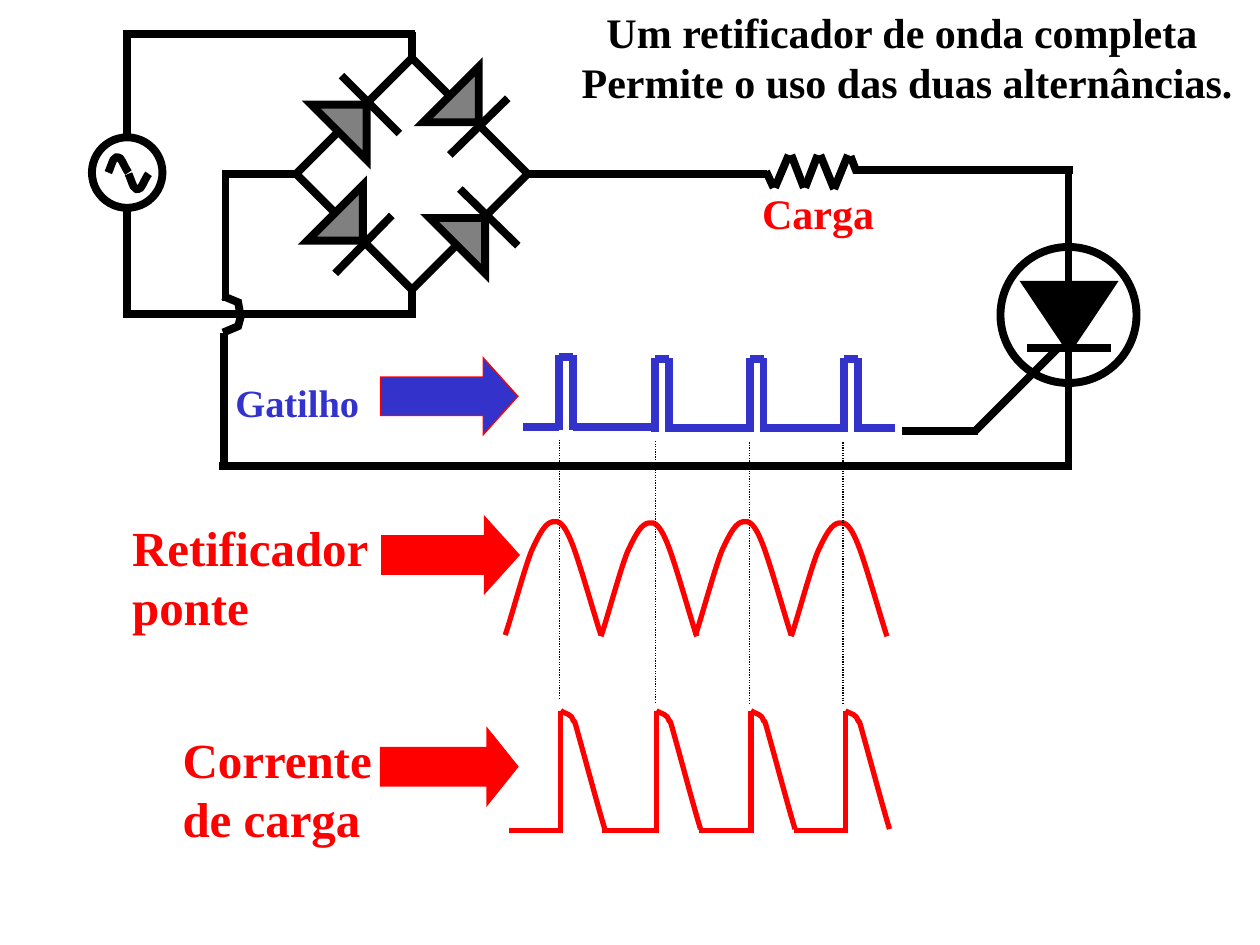
from lxml import etree
from pptx import Presentation
from pptx import util as u
from pptx.dml.color import RGBColor
from pptx.enum import dml, shapes, text
from pptx.oxml.ns import qn

BLACK = RGBColor(0x00, 0x00, 0x00)
RED = RGBColor(0xFF, 0x00, 0x00)
BLUE = RGBColor(0x33, 0x33, 0xCC)
GRAY = RGBColor(0x80, 0x80, 0x80)
FORM = shapes.MSO_SHAPE

WIRES = [
    (8.15, 2.76, 8.82, 2.76), (8.48, 2.76, 8.48, 3.67), (8.48, 1.34, 8.48, 2.26),
    (8.4, 2.76, 7.74, 3.42), (7.76, 3.42, 7.16, 3.42),
    (4.2, 1.38, 6.09, 1.38), (6.78, 1.35, 8.52, 1.35),
    (3.27, 0.25, 3.27, 0.45), (3.27, 2.3, 3.27, 2.51),
    (3.29, 0.27, 0.98, 0.27), (3.3, 2.49, 0.98, 2.49),
    (1.01, 0.25, 1.01, 1.1), (1.01, 1.64, 1.01, 2.51),
    (1.78, 1.38, 2.37, 1.38), (1.79, 1.35, 1.79, 2.39),
    (1.78, 2.64, 1.78, 3.67), (1.74, 3.7, 8.51, 3.7),
]
RESISTOR = [
    (6.08, 1.36, 6.14, 1.49), (6.15, 1.49, 6.26, 1.23), (6.28, 1.23, 6.38, 1.49),
    (6.39, 1.49, 6.49, 1.23), (6.51, 1.23, 6.62, 1.5), (6.62, 1.5, 6.73, 1.23),
    (6.75, 1.24, 6.8, 1.37),
]
DIODES = [
    ((4.11, 1.95, 3.65, 1.5), (3.41, 1.73), 180),
    ((2.66, 2.17, 3.11, 1.71), (2.44, 1.47), 270),
    ((3.57, 1.23, 4.03, 0.78), (3.36, 0.53), 270),
    ((3.17, 1.06, 2.71, 0.6), (2.47, 0.83), 180),
]
HUMP = [(0, 0.91), (0.04, 0.8), (0.15, 0.39), (0.21, 0.24), (0.28, 0.09),
        (0.32, 0.02), (0.38, 0.01), (0.43, 0), (0.47, 0.03), (0.53, 0.18),
        (0.59, 0.33), (0.71, 0.76), (0.76, 0.91)]
DECAY = [(0, 0), (0.01, 0.01), (0.04, 0.02), (0.06, 0.03), (0.08, 0.04),
         (0.09, 0.05), (0.1, 0.08), (0.11, 0.1), (0.1, 0.04), (0.14, 0.19),
         (0.18, 0.33), (0.3, 0.78), (0.35, 0.94)]
SINE = [(0, 0), (0.01, -0.02), (0.03, -0.08), (0.04, -0.1), (0.06, -0.12),
        (0.07, -0.13), (0.08, -0.12), (0.09, -0.12), (0.1, -0.11),
        (0.11, -0.09), (0.12, -0.07), (0.15, -0.01), (0.16, 0)]


def apply_format(target, values):
    for name, value in values.items():
        setattr(target, name, value)


def add_wire(slide, ends, color=BLACK, width=4.5, dash=None):
    wire = slide.shapes.add_connector(
        shapes.MSO_CONNECTOR.STRAIGHT, *[u.Inches(value) for value in ends])
    wire.line.color.rgb = color
    apply_format(wire.line, {"width": u.Pt(width), "dash_style": dash})
    etree.SubElement(wire._element.spPr, qn("a:effectLst"))


def style_shape(shape, fill, color, width):
    shape.shadow.inherit = False
    if fill is None:
        shape.fill.background()
    else:
        shape.fill.solid()
        shape.fill.fore_color.rgb = fill
    shape.line.color.rgb = color
    shape.line.width = u.Pt(width)
    outline = shape.line._get_or_add_ln()
    etree.SubElement(outline, qn("a:miter"), lim="800000")


def add_form(slide, form, box, fill=None, color=BLACK, width=4.5, rotation=0):
    shape = slide.shapes.add_shape(form, *[u.Inches(value) for value in box])
    shape.rotation = rotation
    style_shape(shape, fill, color, width)
    return shape


def add_polyline(slide, points, color=BLACK, width=4.5):
    places = [(u.Inches(x), u.Inches(y)) for x, y in points]
    builder = slide.shapes.build_freeform(*places[0])
    builder.add_line_segments(places[1:], close=False)
    shape = builder.convert_to_shape()
    style_shape(shape, None, color, width)
    return shape


def add_curve(slide, controls, left, top, color, width, flip=1):
    points = [(left + x, top + flip * y) for x, y in controls]
    shape = add_polyline(slide, points, color, width)
    segments = list(shape._element.iter(qn("a:lnTo")))
    for first in range(0, len(segments), 3):
        curve = etree.Element(qn("a:cubicBezTo"))
        segments[first].addprevious(curve)
        for segment in segments[first:first + 3]:
            curve.append(segment[0])
            segment.getparent().remove(segment)


def add_label(slide, box, lines, size, color, align=text.PP_ALIGN.LEFT):
    frame = slide.shapes.add_textbox(*[u.Inches(value) for value in box]).text_frame
    frame.word_wrap = True
    for index, line in enumerate(lines):
        paragraph = frame.add_paragraph() if index else frame.paragraphs[0]
        apply_format(paragraph, {"text": line, "alignment": align})
        apply_format(paragraph.font, {
            "name": "Times New Roman", "size": u.Pt(size), "bold": True})
        paragraph.font.color.rgb = color


def add_arrow(slide, left, top, color, head):
    arrow = add_form(slide, FORM.RIGHT_ARROW, (left, top, 1.09, 0.61), color, RED, 0.75)
    arrow.adjustments[1] = head


def add_circuit(slide):
    add_form(slide, FORM.ISOSCELES_TRIANGLE, (8.15, 2.26, 0.67, 0.5), BLACK, rotation=180)
    add_form(slide, FORM.OVAL, (7.94, 1.96, 1.08, 1.08))
    add_form(slide, FORM.RECTANGLE, (2.62, 0.73, 1.3, 1.3), rotation=315)
    for bar, (left, top), rotation in DIODES:
        add_wire(slide, bar)
        add_form(slide, FORM.RIGHT_TRIANGLE, (left, top, 0.44, 0.44), GRAY, rotation=rotation)
    add_form(slide, FORM.OVAL, (0.73, 1.09, 0.56, 0.56))
    add_curve(slide, SINE, 0.86, 1.37, BLACK, 4.5)
    add_curve(slide, SINE, 1.02, 1.38, BLACK, 4.5, flip=-1)
    for ends in WIRES + RESISTOR:
        add_wire(slide, ends)
    add_polyline(slide, [(1.92, 2.48), (1.89, 2.59), (1.77, 2.64)])
    add_polyline(slide, [(1.91, 2.51), (1.89, 2.4), (1.77, 2.35)])


def add_trigger_pulses(slide):
    base_left = 4.15
    for start, before, high in [(4.44, 3.39, 2.82), (5.2, 3.39, 2.84),
                                (5.95, 3.4, 2.84), (6.7, 3.4, 2.84)]:
        end = start + 0.11
        add_wire(slide, (base_left, before, start, before), BLUE)
        for x in (start, end):
            add_wire(slide, (x, high + 0.59, x, high), BLUE)
        add_wire(slide, (start, high + 0.01, end, high + 0.01), BLUE)
        base_left = end
    add_wire(slide, (base_left, 3.4, 7.1, 3.4), BLUE)


def add_output_waves(slide):
    for left, top in zip([4.01, 4.77, 5.52, 6.28], [4.13, 4.14, 4.13, 4.14]):
        add_curve(slide, HUMP, left, top, RED, 3)
    for base_left, rise in zip([4.04, 4.78, 5.55, 6.3], [4.45, 5.21, 5.96, 6.71]):
        add_curve(slide, DECAY, rise, 5.64, RED, 3)
        add_wire(slide, (rise, 5.64, rise, 6.61), RED, 3)
        add_wire(slide, (base_left, 6.59, base_left + 0.42, 6.59), RED, 3)


def main():
    presentation = Presentation()
    apply_format(presentation, {"slide_width": u.Inches(10), "slide_height": u.Inches(7.5)})
    slide = presentation.slides.add_slide(presentation.slide_layouts[6])
    add_circuit(slide)
    add_trigger_pulses(slide)
    add_output_waves(slide)
    add_label(slide, (4.09, 0, 6.22, 0.9),
              ["Um retificador de onda completa ", "Permite o uso das duas alternâncias."],
              24, BLACK, text.PP_ALIGN.CENTER)
    add_label(slide, (5.95, 1.44, 1.09, 0.5), ["Carga"], 24, RED)
    add_label(slide, (0.95, 4.06, 2.1, 1.04), ["Retificador", "ponte"], 28, RED)
    add_label(slide, (1.35, 5.74, 1.75, 1.04), ["Corrente", "de carga"], 28, RED)
    add_label(slide, (1.77, 2.96, 1.2, 0.47), ["Gatilho"], 22, BLUE)
    add_arrow(slide, 3.02, 5.78, RED, 0.4)
    add_arrow(slide, 3.03, 4.1, RED, 0.45)
    add_arrow(slide, 3.02, 2.84, BLUE, 0.45)
    for x, top, bottom in [(4.44, 3.49, 5.55), (5.2, 3.5, 5.57),
                           (5.95, 3.51, 5.58), (6.69, 3.51, 5.58)]:
        add_wire(slide, (x, top, x, bottom), BLACK, 0.75, dml.MSO_LINE.ROUND_DOT)
    presentation.save("out.pptx")


if __name__ == "__main__":
    main()
